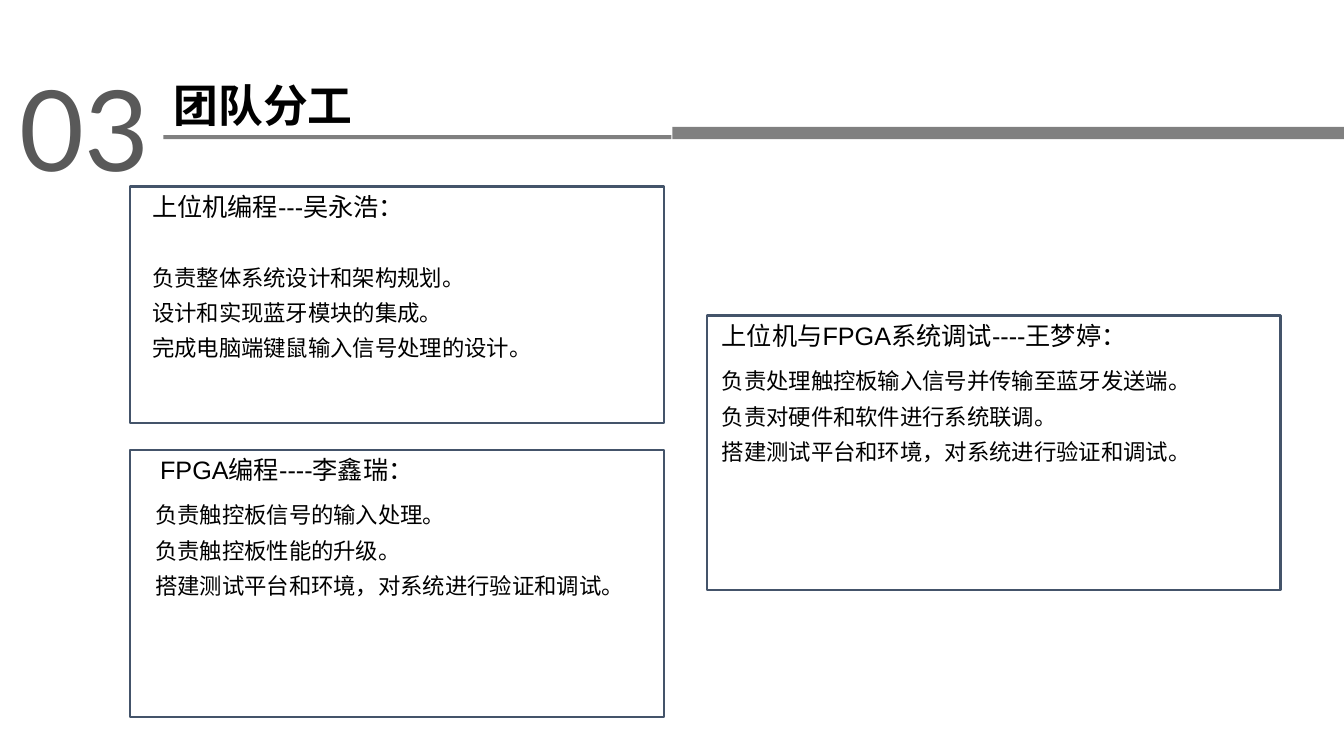
from pptx import Presentation
from pptx.dml.color import RGBColor
from pptx.enum.shapes import MSO_SHAPE
from pptx.enum.text import MSO_ANCHOR, MSO_AUTO_SIZE, PP_ALIGN
from pptx.oxml.ns import qn
from pptx.util import Inches, Pt

BLACK = RGBColor(0x00, 0x00, 0x00)
NUMBER_GRAY = RGBColor(0x59, 0x59, 0x59)
BAR_GRAY = RGBColor(0x80, 0x80, 0x80)
BORDER_BLUE = RGBColor(0x44, 0x54, 0x6A)
CHINESE_FONT = "Noto Sans CJK SC"


def add_span(para, text, size, font_name, color, bold=False):
    span = para.add_run()
    span.text = text
    span.font.size = Pt(size)
    span.font.bold = bold
    span.font.color.rgb = color
    span.font.name = font_name
    properties = span.font._element
    east_asian = properties.makeelement(qn("a:ea"), {"typeface": CHINESE_FONT})
    properties.find(qn("a:latin")).addnext(east_asian)


def add_rectangle(page, left, top, width, height):
    box = page.shapes.add_shape(MSO_SHAPE.RECTANGLE, Inches(left), Inches(top),
                                Inches(width), Inches(height))
    box.shadow.inherit = False
    return box


deck = Presentation()
deck.slide_width = Inches(13.33)
deck.slide_height = Inches(7.5)
page = deck.slides.add_slide(deck.slide_layouts[5])

# Section number and title
number = page.shapes.add_textbox(Inches(0.04), Inches(0.54), Inches(1.59), Inches(1.45))
number.text_frame.word_wrap = True
para = number.text_frame.paragraphs[0]
para.alignment = PP_ALIGN.CENTER
add_span(para, "03", 80, "Lato", NUMBER_GRAY)

title = page.shapes.title
title.left, title.top = Inches(1.62), Inches(0.72)
title.width, title.height = Inches(2.88), Inches(0.64)
title.text_frame.auto_size = MSO_AUTO_SIZE.NONE
title.text_frame.vertical_anchor = MSO_ANCHOR.TOP
para = title.text_frame.paragraphs[0]
para.alignment = PP_ALIGN.LEFT
add_span(para, "团队分工", 32, CHINESE_FONT, BLACK, bold=True)

# Thick and thin rule under the title
for left, top, width, height in [(6.67, 1.26, 6.67, 0.12), (1.62, 1.34, 5.04, 0.04)]:
    bar = add_rectangle(page, left, top, width, height)
    bar.fill.solid()
    bar.fill.fore_color.rgb = BAR_GRAY
    bar.line.fill.background()

# Frame, heading, heading indent, space after heading, task indent, tasks
members = [
    ((7.01, 3.13, 5.69, 2.72), "上位机与FPGA系统调试----王梦婷：", 0.05, 12, 0.05,
     ["负责处理触控板输入信号并传输至蓝牙发送端。",
      "负责对硬件和软件进行系统联调。",
      "搭建测试平台和环境，对系统进行验证和调试。"]),
    ((1.29, 1.85, 5.3, 2.35), "上位机编程---吴永浩：", 0.12, 30, 0.12,
     ["负责整体系统设计和架构规划。",
      "设计和实现蓝牙模块的集成。",
      "完成电脑端键鼠输入信号处理的设计。"]),
    ((1.29, 4.46, 5.3, 2.65), "FPGA编程----李鑫瑞：", 0.2, 12, 0.15,
     ["负责触控板信号的输入处理。",
      "负责触控板性能的升级。",
      "搭建测试平台和环境，对系统进行验证和调试。"]),
]
for frame, heading, heading_indent, heading_gap, task_indent, tasks in members:
    box = add_rectangle(page, *frame)
    box.fill.background()
    box.line.color.rgb = BORDER_BLUE
    box.line.width = Pt(1.5)
    text_frame = box.text_frame
    text_frame.word_wrap = True
    text_frame.vertical_anchor = MSO_ANCHOR.TOP
    lines = [(heading, 18, heading_indent, heading_gap)]
    lines += [(task, 16, task_indent, 6) for task in tasks]
    for index, (text, size, indent, gap) in enumerate(lines):
        para = text_frame.add_paragraph() if index else text_frame.paragraphs[0]
        para.alignment = PP_ALIGN.LEFT
        para.space_after = Pt(gap)
        para._p.get_or_add_pPr().set("marL", str(Inches(indent)))
        add_span(para, text, size, "Arial", BLACK)

deck.save("out.pptx")
